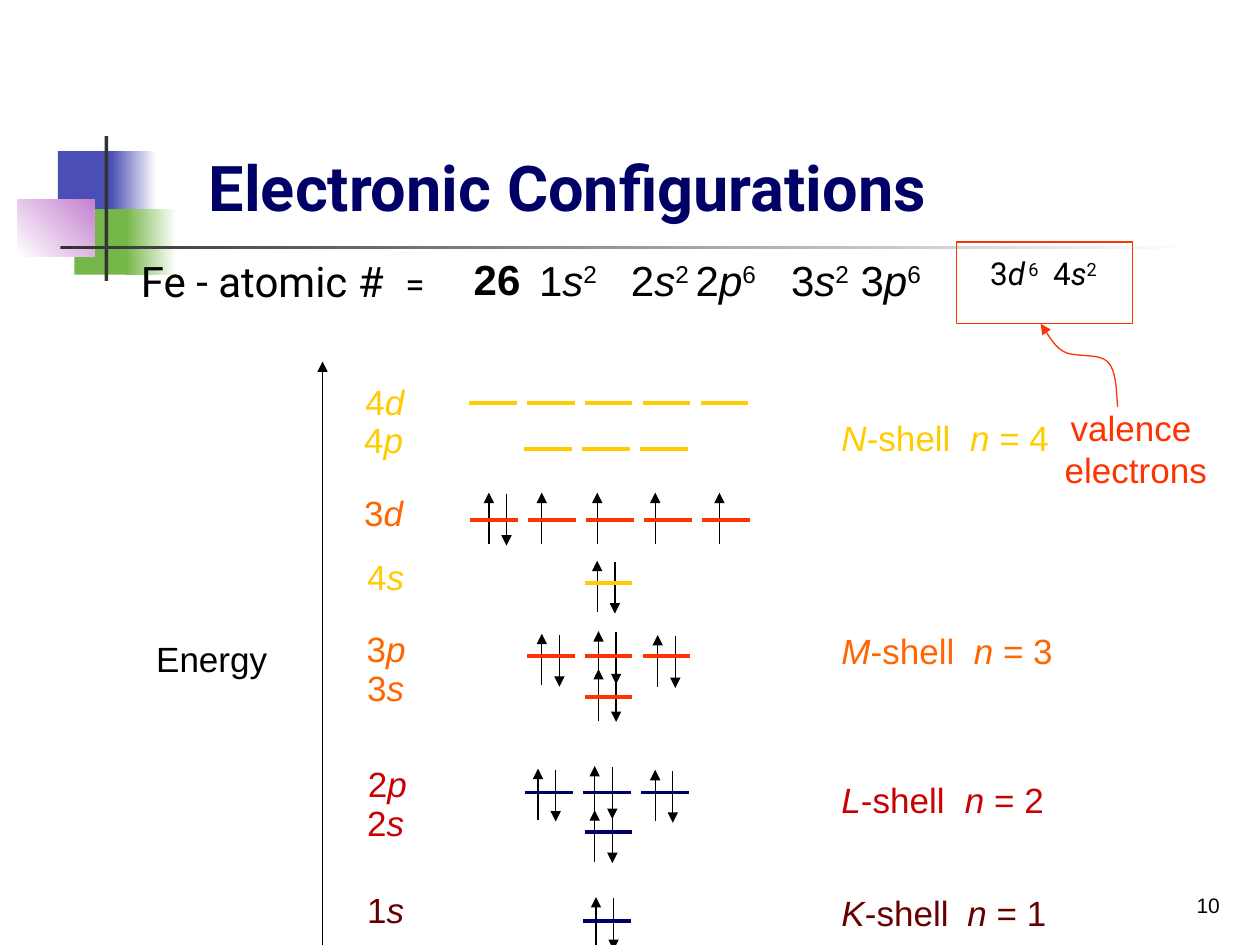
import pptx
import pptx.util
import pptx.dml.color
import pptx.enum.shapes
import pptx.enum.text
import pptx.oxml.ns
import lxml.etree

Inches = pptx.util.Inches
Pt = pptx.util.Pt
qn = pptx.oxml.ns.qn
ALIGN = pptx.enum.text.PP_ALIGN
ANCHOR = pptx.enum.text.MSO_ANCHOR
RECT = pptx.enum.shapes.MSO_SHAPE.RECTANGLE
STRAIGHT = pptx.enum.shapes.MSO_CONNECTOR.STRAIGHT

COLORS = {
    "black": "000000", "white": "FFFFFF", "dark": "333333", "navy": "000066",
    "blue": "4B4EB5", "green": "76B749", "pink": "C481CF", "red": "FF3300",
    "gold": "FFCC00", "orange": "FF6600", "crimson": "CC0000", "maroon": "660000",
}

DECOR = [
    (0.46, 1.2, 0.48, 0.52, ["blue"], 0),
    (0.88, 1.2, 0.36, 0.52, ["blue", "white"], 0),
    (0.59, 1.66, 0.46, 0.52, ["green"], 0),
    (1, 1.66, 0.4, 0.52, ["green", "white"], 0),
    (0.14, 1.58, 0.61, 0.46, ["white", "pink"], 45),
    (0.83, 1.08, 0.03, 1.15, ["dark"], 0),
    (0.48, 1.95, 9, 0.03, ["dark", "white"], 0),
]

PAIRS = [
    (4.73, 7.12), (4.72, 6.43),
    (4.27, 6.1), (4.72, 6.08), (5.2, 6.11),
    (4.75, 5.31),
    (4.3, 5.03), (4.75, 5.01), (5.22, 5.04),
    (4.74, 4.45), (3.88, 3.91),
]
SINGLES = [4.3, 4.74, 5.2, 5.71]

LEVELS = [
    ("1", "s", 2.8, 7, 4.63, 7.31, "navy", "maroon"),
    ("2", "s", 2.8, 6.31, 4.64, 6.6, "navy", "crimson"),
    ("2", "p", 2.74, 6, 4.17, 6.29, "navy", "crimson"),
    ("3", "s", 2.8, 5.24, 4.64, 5.53, "red", "orange"),
    ("3", "p", 2.73, 4.93, 4.18, 5.21, "red", "orange"),
    ("3", "d", 2.71, 3.85, 3.73, 4.13, "red", "orange"),
    ("4", "s", 2.8, 4.36, 4.64, 4.63, "gold", "gold"),
    ("4", "p", 2.71, 3.27, 4.16, 3.56, "gold", "gold"),
    ("4", "d", 2.72, 2.97, 3.72, 3.2, "gold", "gold"),
]
SLOTS = {"s": 1, "p": 3, "d": 5}
WIDTHS = {"s": 0.52, "p": 0.67, "d": 0.67}
PITCH, DASH, RISE, GAP = 0.46, 0.38, 0.41, 0.14

SHELLS = [
    ("K", 1, 7.03, 1, "maroon"), ("L", 2, 6.13, 0.98, "crimson"),
    ("M", 3, 4.95, 1.05, "orange"), ("N", 4, 3.26, 1.02, "gold"),
]

CURVE = [
    [(8.87, 3.23), (8.86, 3.09), (8.86, 2.94), (8.79, 2.87)],
    [(8.79, 2.87), (8.72, 2.8), (8.52, 2.84), (8.44, 2.79)],
    [(8.44, 2.79), (8.35, 2.74), (8.29, 2.6), (8.26, 2.57)],
]


def tint(name):
    return pptx.dml.color.RGBColor.from_string(COLORS[name])


def add_head(shape):
    ln = shape.element.spPr.find(qn("a:ln"))
    lxml.etree.SubElement(ln, qn("a:tailEnd"), type="triangle")


def add_line(slide, start, end, color="black", width=0.75, head=False):
    line = slide.shapes.add_connector(STRAIGHT, *map(Inches, start + end))
    line.line.color.rgb = tint(color)
    line.line.width = Pt(width)
    if head:
        add_head(line)
    lxml.etree.SubElement(line.element.spPr, qn("a:effectLst"))


def add_rect(slide, box, fills=(), angle=0, edge=None):
    rect = slide.shapes.add_shape(RECT, *map(Inches, box))
    rect.shadow.inherit = False
    if len(fills) == 2:
        rect.fill.gradient()
        rect.fill.gradient_angle = angle
        for stop, name in zip(rect.fill.gradient_stops, fills):
            stop.color.rgb = tint(name)
    elif fills:
        rect.fill.solid()
        rect.fill.fore_color.rgb = tint(fills[0])
    else:
        rect.fill.background()
    if edge:
        rect.line.color.rgb = tint(edge)
        rect.line.width = Pt(0.75)
    else:
        rect.line.fill.background()


def add_run(para, text, flags, size, color, font):
    run = para.add_run()
    run.text = text
    run.font.name = font
    run.font.size = Pt(size)
    run.font.color.rgb = tint(color)
    run.font.bold = "b" in flags
    run.font.italic = "i" in flags
    if "^" in flags:
        run.font._element.set("baseline", "30000")


def add_text(slide, box, paras, size=20, color="black", font="Arial",
             align=ALIGN.LEFT, anchor=ANCHOR.TOP, wrap=True, tabs=()):
    frame = slide.shapes.add_textbox(*map(Inches, box)).text_frame
    frame.word_wrap = wrap
    frame.vertical_anchor = anchor
    for i, runs in enumerate(paras):
        para = frame.paragraphs[0] if i == 0 else frame.add_paragraph()
        if tabs:
            stops = lxml.etree.SubElement(para._p.get_or_add_pPr(), qn("a:tabLst"))
            for stop in tabs:
                lxml.etree.SubElement(stops, qn("a:tab"), pos=str(Inches(stop)), algn="l")
        para.alignment = align
        for text, flags, *own in runs:
            add_run(para, text, flags, own[0] if own else size, color, font)


def add_spins(slide):
    for x, top in PAIRS:
        add_line(slide, (x, top + RISE), (x, top), head=True)
        add_line(slide, (x + GAP, top + 0.01), (x + GAP, top + RISE + 0.01), head=True)
    for x in SINGLES:
        add_line(slide, (x, 3.91 + RISE), (x, 3.91), head=True)


def add_level(slide, num, kind, left, top, x, y, color, ink):
    for i in range(SLOTS[kind]):
        start = x + i * PITCH
        add_line(slide, (start, y), (start + DASH, y), color, 2.25)
    add_text(slide, (left, top, WIDTHS[kind], 0.44), [[(num, ""), (kind, "i")]],
             color=ink, align=ALIGN.CENTER)


def add_curve(slide, steps=8):
    points = []
    for a, b, c, d in CURVE:
        for i in range(1, steps + 1):
            t = i / steps
            u = 1 - t
            points.append(tuple(
                Inches(u**3 * p + 3 * u * u * t * q + 3 * u * t * t * r + t**3 * s)
                for p, q, r, s in zip(a, b, c, d)))
    pen = slide.shapes.build_freeform(*map(Inches, CURVE[0][0]))
    pen.add_line_segments(points, close=False)
    curve = pen.convert_to_shape()
    curve.shadow.inherit = False
    curve.fill.background()
    curve.line.color.rgb = tint("red")
    curve.line.width = Pt(0.75)
    add_head(curve)


def add_config(slide):
    add_text(slide, (1.02, 1.98, 2.5, 0.5), [[("Fe - atomic #\t", ""), ("=", "", 20)]],
             24, font="Roboto", tabs=[2.1])
    add_text(slide, (3.47, 1.96, 0.95, 0.5), [[("26", "b")]], 24, align=ALIGN.CENTER)
    core = [("1", ""), ("s", "i"), ("2", "^"),
            ("\t2", ""), ("s", "i"), ("2 ", "^"), ("2", ""), ("p", "i"), ("6", "^"),
            ("\t3", ""), ("s", "i"), ("2", "^"), (" 3", ""), ("p", "i"), ("6", "^")]
    add_text(slide, (4.18, 1.97, 3.76, 0.5), [core], 24, tabs=[0.73, 2])
    outer = [("3", ""), ("d", "i"), (" ", "i", 8), ("6", "^"),
             ("\t4", ""), ("s", "i"), ("2", "^")]
    add_text(slide, (7.76, 1.97, 1.1, 0.4), [outer], 18, font="Roboto", tabs=[0.5])


def main():
    deck = pptx.Presentation()
    deck.slide_width, deck.slide_height = Inches(10), Inches(7.5)
    slide = deck.slides.add_slide(deck.slide_layouts[6])
    for *box, fills, angle in DECOR:
        add_rect(slide, box, fills, angle)
    add_text(slide, (7.7, 6.83, 2.08, 0.5), [[("10", "")]], 12,
             align=ALIGN.RIGHT, anchor=ANCHOR.BOTTOM)
    add_text(slide, (1.56, 0.23, 8.4, 1.6), [[("Electronic Configurations", "b")]], 36,
             "navy", "Roboto", anchor=ANCHOR.BOTTOM)
    add_spins(slide)
    add_rect(slide, (7.59, 1.92, 1.4, 0.65), edge="red")
    add_text(slide, (8.35, 3.18, 1.33, 0.77), [[("valence ", "")], [("electrons", "")]],
             color="red", align=ALIGN.CENTER, wrap=False)
    add_curve(slide)
    add_line(slide, (2.56, 7.5), (2.56, 2.87), head=True)
    for level in LEVELS:
        add_level(slide, *level)
    for name, num, top, tab, ink in SHELLS:
        runs = [(name, "i"), ("-shell\t", ""), ("n ", "i"), (f"= {num}", "")]
        add_text(slide, (6.58, top, 1.95, 0.44), [runs], color=ink, tabs=[tab])
    add_text(slide, (1.14, 5.01, 1.08, 0.44), [[("Energy", "")]],
             align=ALIGN.CENTER, wrap=False)
    add_config(slide)
    deck.save("out.pptx")


if __name__ == "__main__":
    main()
